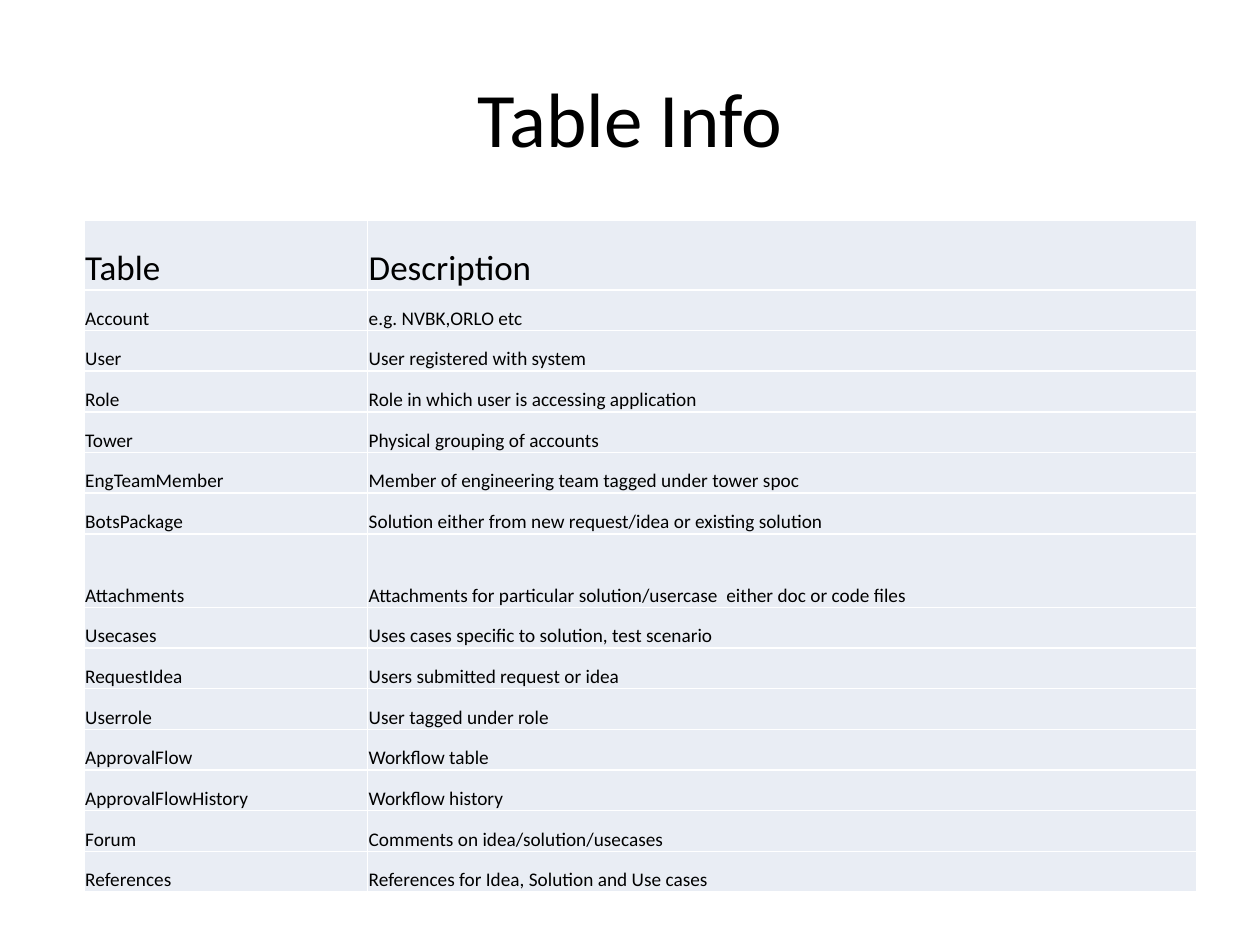
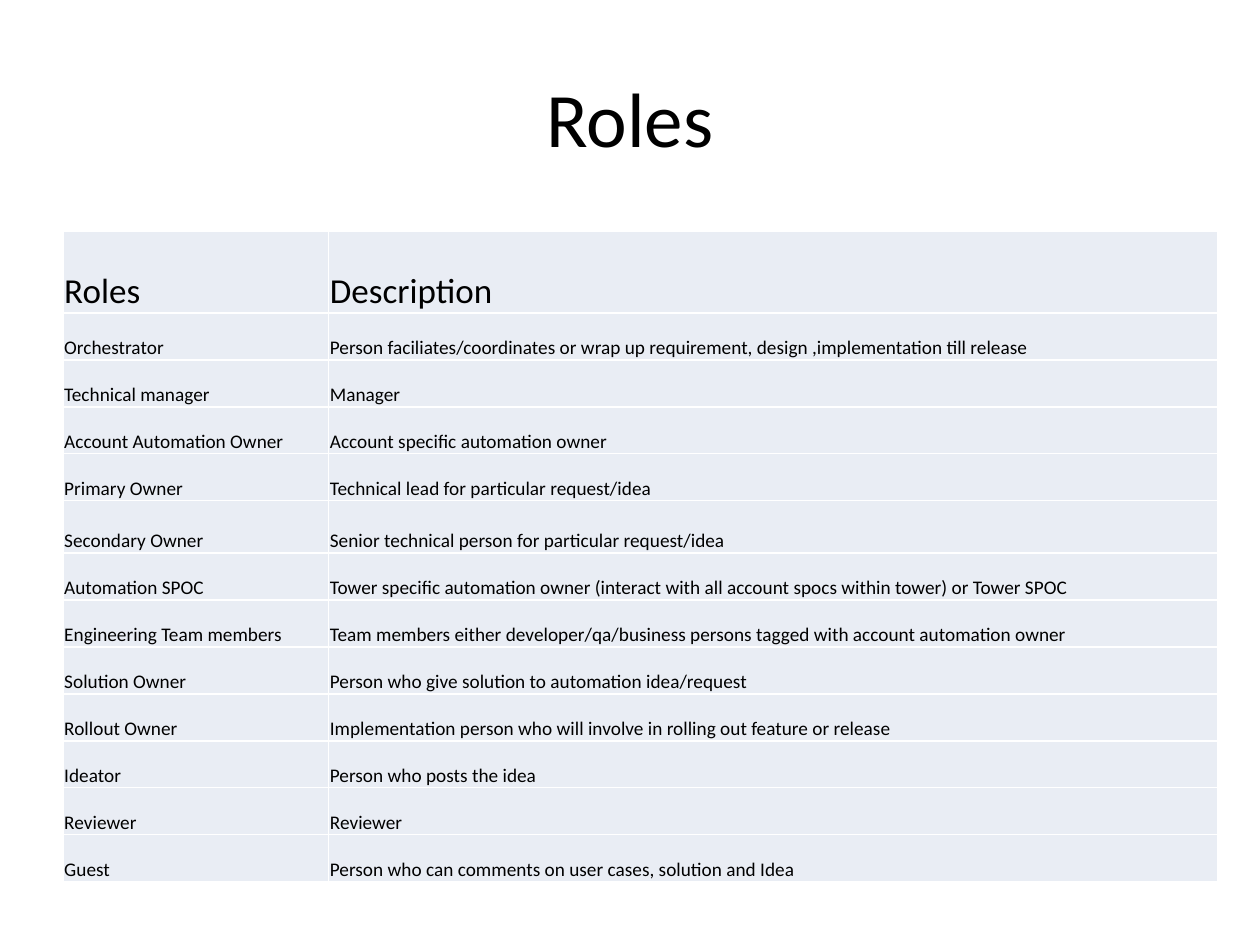
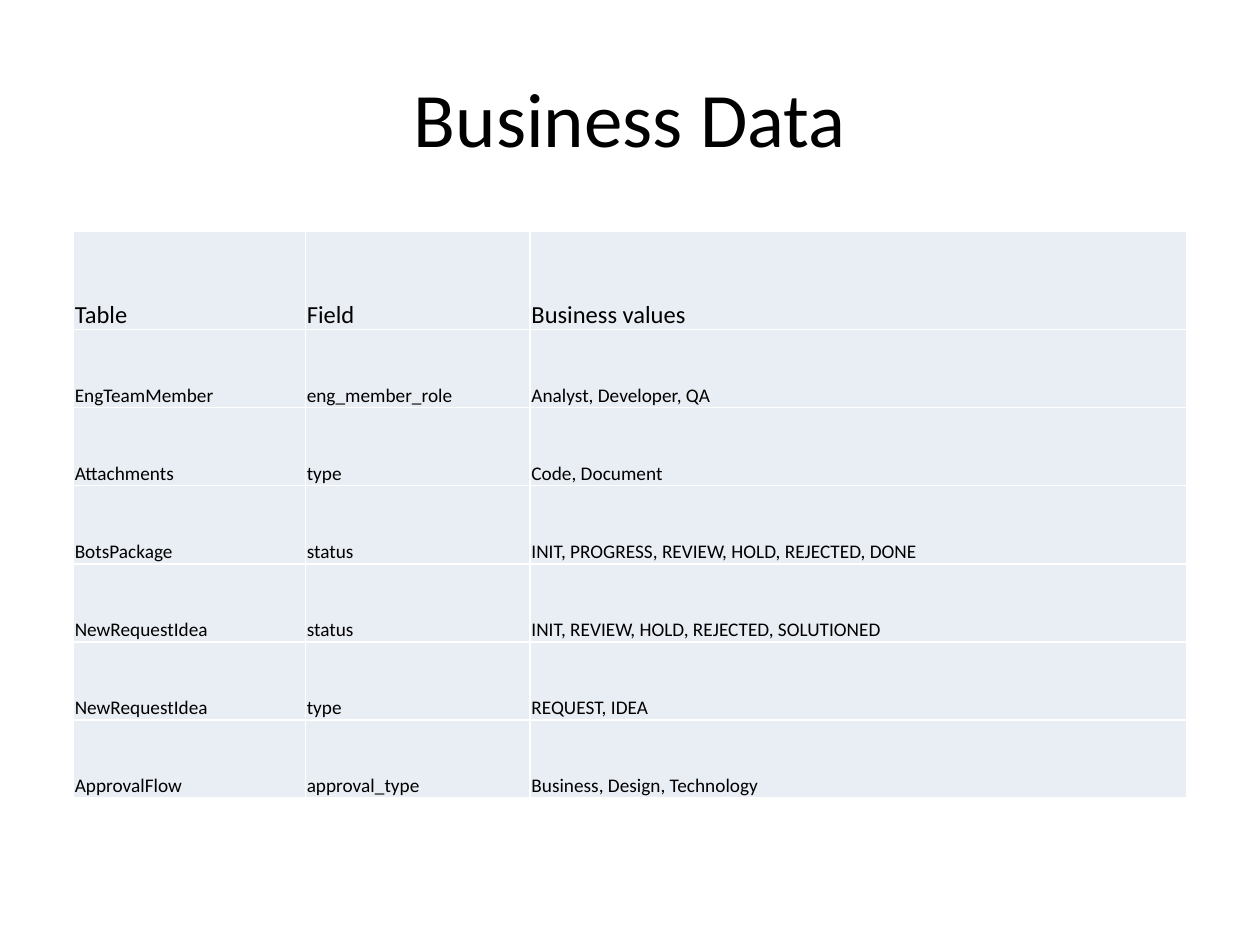
"""Three slides that explain the tables, roles and business values of a system."""
from lxml import etree
from pptx import Presentation
from pptx import util as u
from pptx.dml.color import RGBColor
from pptx.enum import text
from pptx.oxml import ns

BLACK = RGBColor(0x00, 0x00, 0x00)
WHITE = RGBColor(0xFF, 0xFF, 0xFF)
PALE_BLUE = RGBColor(0xE9, 0xED, 0xF4)
FONT = "Calibri"
TITLE_SIZE, BODY_SIZE = 44, 11
GRID_UNIT = u.Inches(10) / 120  # the slide is a grid of 120 columns and 90 rows
TITLE_BOX = (6, 3.6, 108, 15)
CELL_INSET = u.Inches(0.01)
TITLE_ONLY_LAYOUT = 5

TABLE_INFO = [
    ("Table ", "Description"),
    ("Account", "e.g. NVBK,ORLO etc"),
    ("User", "User registered with system"),
    ("Role", "Role in which user is accessing application"),
    ("Tower", "Physical grouping of accounts "),
    ("EngTeamMember", "Member of engineering team tagged under tower spoc "),
    ("BotsPackage", "Solution either from new request/idea or existing solution"),
    ("Attachments", "Attachments for particular solution/usercase  either doc or code files"),
    ("Usecases", "Uses cases specific to solution, test scenario"),
    ("RequestIdea", "Users submitted request or idea "),
    ("Userrole", "User tagged under role"),
    ("ApprovalFlow", "Workflow table"),
    ("ApprovalFlowHistory", "Workflow history"),
    ("Forum", "Comments on idea/solution/usecases"),
    ("References", "References for Idea, Solution and Use cases"),
]
ROLES = [
    ("Roles", "Description"),
    ("Orchestrator", "Person faciliates/coordinates or wrap up requirement, "
                     "design ,implementation till release"),
    ("Technical manager", "Manager"),
    ("Account Automation Owner", "Account specific automation owner"),
    ("Primary Owner", "Technical lead for particular request/idea"),
    ("Secondary Owner", "Senior technical person for particular request/idea"),
    ("Automation SPOC", "Tower specific automation owner "
                        "(interact with all account spocs within tower) or Tower SPOC"),
    ("Engineering Team members", "Team members either developer/qa/business persons "
                                 "tagged with account automation owner"),
    ("Solution Owner", "Person who give solution to automation idea/request"),
    ("Rollout Owner", "Implementation person who will involve in rolling out feature or release"),
    ("Ideator", "Person who posts the idea"),
    ("Reviewer", "Reviewer"),
    ("Guest", "Person who can comments on user cases, solution and Idea"),
]
BUSINESS_DATA = [
    ("Table", "Field", "Business values"),
    ("EngTeamMember", "eng_member_role", "Analyst, Developer, QA"),
    ("Attachments", "type", "Code, Document"),
    ("BotsPackage", "status", "INIT, PROGRESS, REVIEW, HOLD, REJECTED, DONE"),
    ("NewRequestIdea", "status", "INIT, REVIEW, HOLD, REJECTED, SOLUTIONED"),
    ("NewRequestIdea", "type", "REQUEST, IDEA"),
    ("ApprovalFlow", "approval_type", "Business, Design, Technology"),
]


def grid(units):
    """Turn grid units into a length."""
    return u.Emu(round(units * GRID_UNIT))


def add_run(paragraph, words, size):
    """Add one run in the shared font and colour."""
    run = paragraph.add_run()
    run.text = words
    run.font.name = FONT
    run.font.size = u.Pt(size)
    run.font.color.rgb = BLACK


def add_titled_slide(presentation, title):
    """Add a slide whose title placeholder holds the title."""
    slide = presentation.slides.add_slide(presentation.slide_layouts[TITLE_ONLY_LAYOUT])
    shape = slide.shapes.title
    shape.left, shape.top, shape.width, shape.height = map(grid, TITLE_BOX)
    shape.text_frame.vertical_anchor = text.MSO_ANCHOR.MIDDLE
    paragraph = shape.text_frame.paragraphs[0]
    paragraph.alignment = text.PP_ALIGN.CENTER
    add_run(paragraph, title, TITLE_SIZE)
    return slide


def add_borders(cell):
    """Draw a thin white line on all four sides of a cell."""
    properties = cell._tc.get_or_add_tcPr()
    for side in ("a:lnL", "a:lnR", "a:lnT", "a:lnB"):
        line = etree.SubElement(properties, ns.qn(side), w=str(u.Pt(1)))
        fill = etree.SubElement(line, ns.qn("a:solidFill"))
        etree.SubElement(fill, ns.qn("a:srgbClr"), val=str(WHITE))


def fill_cell(cell, words, size):
    """Write and format one table cell."""
    cell.margin_left = cell.margin_right = cell.margin_top = CELL_INSET
    cell.margin_bottom = 0
    cell.vertical_anchor = text.MSO_ANCHOR.BOTTOM
    add_run(cell.text_frame.paragraphs[0], words, size)
    add_borders(cell)
    cell.fill.solid()
    cell.fill.fore_color.rgb = PALE_BLUE


def add_grid_table(slide, rows, box, first_columns, special_rows, header_size):
    """Add a table; the last column and the ordinary rows share what is left."""
    left, top, width, height = box
    table = slide.shapes.add_table(len(rows), len(rows[0]), *map(grid, box)).table
    table.first_row = table.horz_banding = False

    for column, units in zip(table.columns, [*first_columns, width - sum(first_columns)]):
        column.width = grid(units)
    ordinary = (height - sum(special_rows.values())) / (len(rows) - len(special_rows))
    for index, values in enumerate(rows):
        table.rows[index].height = grid(special_rows.get(index, ordinary))
        size = BODY_SIZE if index else header_size
        for position, words in enumerate(values):
            fill_cell(table.cell(index, position), words, size)


def main():
    """Build the three slides and save them."""
    presentation = Presentation()
    presentation.slide_width, presentation.slide_height = grid(120), grid(90)

    slide = add_titled_slide(presentation, "Table Info")
    add_grid_table(slide, TABLE_INFO, (8, 21, 106, 64), [27], {0: 6.6, 7: 7}, 20)

    slide = add_titled_slide(presentation, "Roles")
    add_grid_table(slide, ROLES, (6, 22, 110, 62), [25.3], {0: 7.8, 5: 5}, 20)

    slide = add_titled_slide(presentation, "Business Data")
    add_grid_table(slide, BUSINESS_DATA, (7, 22, 106, 54), [22.1, 21.4], {0: 9.4}, 14)

    presentation.save("out.pptx")


main()
